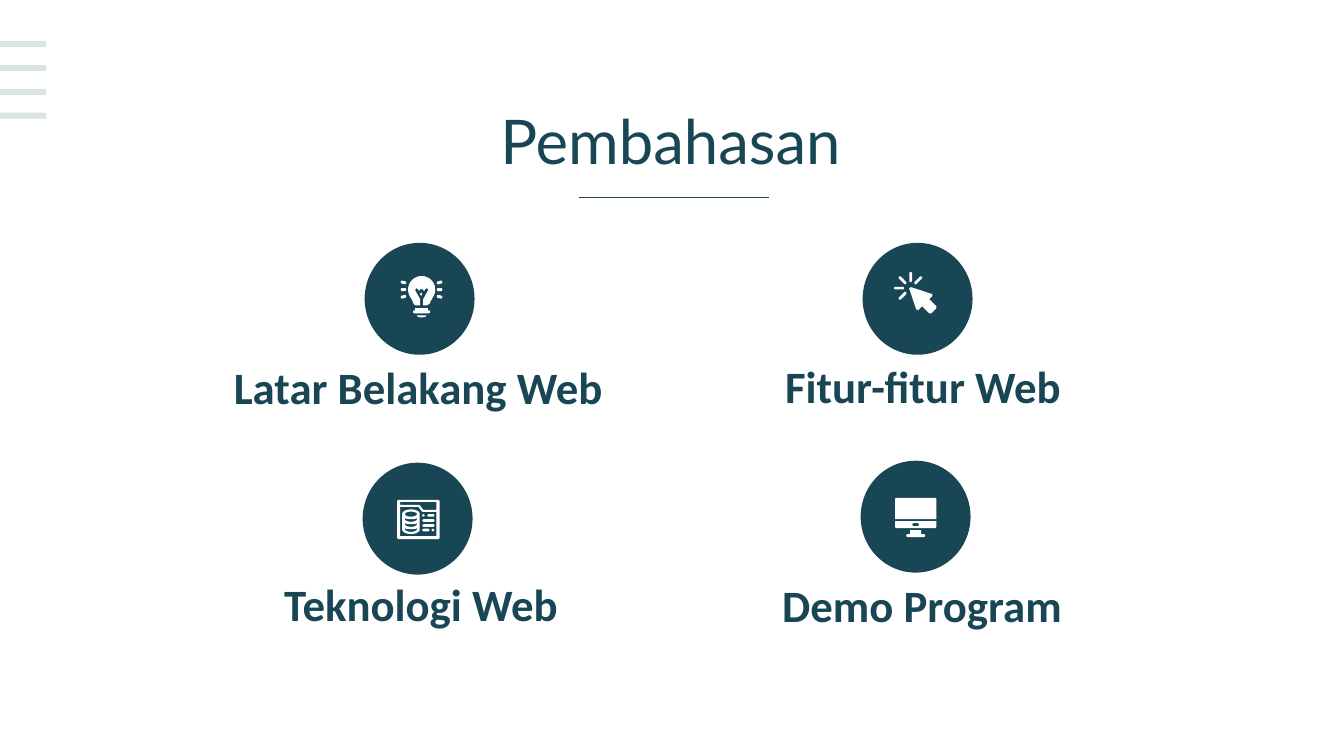
from math import cos, pi, sin

from lxml import etree
from pptx import Presentation
from pptx import util as u
from pptx.dml.color import RGBColor
from pptx.enum import shapes, text
from pptx.oxml.ns import qn

COLORS = {"teal": "194655", "white": "FFFFFF"}
RGB = {name: RGBColor.from_string(value) for name, value in COLORS.items()}
GRID = u.Cm(2.54) / 100  # one step of the icon grid


def arc(cx, cy, rx, ry, start, end, steps=24):
    """Points along an ellipse, angles in degrees, clockwise from the right."""
    angles = [(start + (end - start) * i / steps) * pi / 180 for i in range(steps + 1)]
    return [(cx + rx * cos(a), cy + ry * sin(a)) for a in angles]


def paint(shape, color):
    shape.shadow.inherit = False
    shape.fill.solid()
    shape.fill.fore_color.rgb = RGB[color]
    shape.line.fill.background()


prs = Presentation()
prs.slide_width, prs.slide_height = u.Cm(33.87), u.Cm(19.05)
slide = prs.slides.add_slide(prs.slide_layouts[6])

# Menu bars at the left edge
menu = slide.shapes.add_group_shape()
for i in range(4):
    bar = menu.shapes.add_shape(shapes.MSO_SHAPE.RECTANGLE, 0, u.Cm(1.04 + 0.6 * i),
                                u.Cm(1.17), u.Cm(0.15))
    paint(bar, "teal")
    tint = bar.fill._xPr.find(qn("a:solidFill"))[0]
    etree.SubElement(tint, qn("a:alpha")).set("val", "15000")

# Rule under the title
rule = slide.shapes.add_connector(shapes.MSO_CONNECTOR.STRAIGHT,
                                  u.Cm(14.58), u.Cm(4.98), u.Cm(19.38), u.Cm(4.98))
rule.line.color.rgb = RGB["teal"]
rule.line.width = u.Pt(0.5)
etree.SubElement(rule._element.spPr, qn("a:effectLst"))

# Title and topic labels: text, left, top, width, height, font
title_font = {"name": "Lato", "size": u.Pt(44), "bold": False}
label_font = {"name": "Calibri", "size": u.Pt(32), "bold": True}
texts = [
    ("Pembahasan", 11.53, 2.46, 10.74, 2.13, title_font),
    ("Latar Belakang Web", 5.59, 8.94, 9.91, 1.62, label_font),
    ("Fitur-fitur Web", 19.38, 8.92, 7.77, 1.62, label_font),
    ("Teknologi Web", 4.67, 14.4, 11.89, 1.62, label_font),
    ("Demo Program", 19.1, 14.43, 8.28, 1.62, label_font),
]
for words, left, top, width, height, font in texts:
    label = slide.shapes.add_textbox(u.Cm(left), u.Cm(top), u.Cm(width), u.Cm(height))
    label.text_frame.word_wrap = True
    label.text_frame.auto_size = text.MSO_AUTO_SIZE.SHAPE_TO_FIT_TEXT
    line = label.text_frame.paragraphs[0]
    line.alignment = text.PP_ALIGN.CENTER
    run = line.add_run()
    run.text = words
    run.font.color.rgb = RGB["teal"]
    for attribute, value in font.items():
        setattr(run.font, attribute, value)

# Icons on the grid: outlines are lists of contours, pills are cx, cy, w, h, angle
bulb = {
    "circle": (9.19, 6.12),
    "origin": (10.08, 6.93),
    "outlines": [
        [arc(21.5, 14.5, 13.5, 13.5, 143, 397)
         + [(30, 27), (30, 28), (27, 30), (23, 30), (23, 24), (28, 15), (27, 13), (25, 14),
            (24, 16), (22, 14), (20, 14), (19, 16), (18, 14), (16, 13), (15, 15), (20, 24),
            (20, 30), (15, 30), (13, 28), (13, 27)]],
        [[(21, 17), (20, 19), (21, 21), (22, 19)]],
        [[(15, 33), (28, 33), (28, 36), (15, 36)]],
        [arc(21.5, 40, 4.8, 2, 0, 180)],
    ],
    "pills": [(21.5, 36.5, 17, 3, 0)] + [
        (cx, 14.5 + 7.1 * row, 5.6, 3, row * side * 15)
        for cx, side in ((3.5, -1), (39.3, 1)) for row in (-1, 0, 1)],
}
pointer = {
    "circle": (21.74, 6.12),
    "origin": (22.53, 6.83),
    "outlines": [
        [[(35, 42), (28, 35), (24, 39), (22, 38), (15, 17), (17, 16), (38, 23), (38, 25),
          (35, 28), (42, 35), (42, 37), (37, 42)]],
    ],
    "pills": [(16.5, 6, 2.8, 10, 0), (5, 17, 10, 2.6, 0), (8.5, 9.2, 10, 2.8, 45),
              (8.5, 24.5, 10, 2.8, -45), (24, 9.2, 10, 2.8, -45)],
}
database = {
    "circle": (9.14, 11.66),
    "origin": (10.01, 12.57),
    "outlines": [
        [[(0, 2), (1, 1), (41, 1), (42, 2), (42, 39), (41, 40), (1, 40), (0, 39)],
         [(39, 3), (39, 11), (26, 11), (22, 6), (3, 6), (3, 3)],
         [(39, 37), (3, 37), (3, 8), (21, 8), (25, 13), (39, 13)]],
        [arc(13.7, 15, 8.7, 4.5, 180, 360) + arc(13.7, 30.3, 8.7, 4.7, 0, 180),
         arc(13.7, 15.2, 6, 2.5, 0, 360)]
        + [arc(13.7, y, 6, 2.8, 0, 180) + arc(13.7, y - 1, 6, 1.2, 180, 0)
           for y in (20, 25, 30)],
    ],
    "pills": [(cx, cy, w, 2.6, 0) for cx, cy, w in (
        (26, 16.5, 2.6), (33.5, 16.5, 7), (31, 21.5, 12),
        (31, 26.5, 12), (28.5, 31, 7), (35.5, 31, 2.6))],
}
monitor = {
    "circle": (21.69, 11.61),
    "origin": (22.53, 12.52),
    "outlines": [
        [[(1, 2), (2, 1), (41, 1), (42, 2), (42, 22), (1, 22)]],
        [[(1, 24), (42, 24), (42, 30), (41, 31), (2, 31), (1, 30)],
         [(18, 27.5), (19, 26), (24, 26), (25, 27.5), (24, 29), (19, 29)]],
        [[(16, 33), (27, 33), (27, 37), (30, 37), (31, 38.5), (30, 40), (13, 40),
          (12, 38.5), (13, 37), (16, 37)]],
    ],
    "pills": [],
}

# Discs with their icons
for topic in (bulb, pointer, database, monitor):
    left, top = topic["circle"]
    disc = slide.shapes.add_shape(shapes.MSO_SHAPE.OVAL, u.Cm(left), u.Cm(top),
                                  u.Cm(2.77), u.Cm(2.82))
    paint(disc, "teal")
    icon = slide.shapes.add_group_shape()
    x0, y0 = (u.Cm(value) for value in topic["origin"])
    for contours in topic["outlines"]:
        placed = [[(x0 + x * GRID, y0 + y * GRID) for x, y in points] for points in contours]
        builder = icon.shapes.build_freeform(*placed[0][0])
        for number, points in enumerate(placed):
            if number:
                builder.move_to(*points[0])
            builder.add_line_segments(points[1:], close=True)
        paint(builder.convert_to_shape(), "white")
    for cx, cy, width, height, angle in topic["pills"]:
        pill = icon.shapes.add_shape(
            shapes.MSO_SHAPE.ROUNDED_RECTANGLE,
            int(x0 + (cx - width / 2) * GRID), int(y0 + (cy - height / 2) * GRID),
            int(width * GRID), int(height * GRID))
        pill.adjustments[0] = 0.5
        pill.rotation = angle
        paint(pill, "white")

prs.save("out.pptx")
